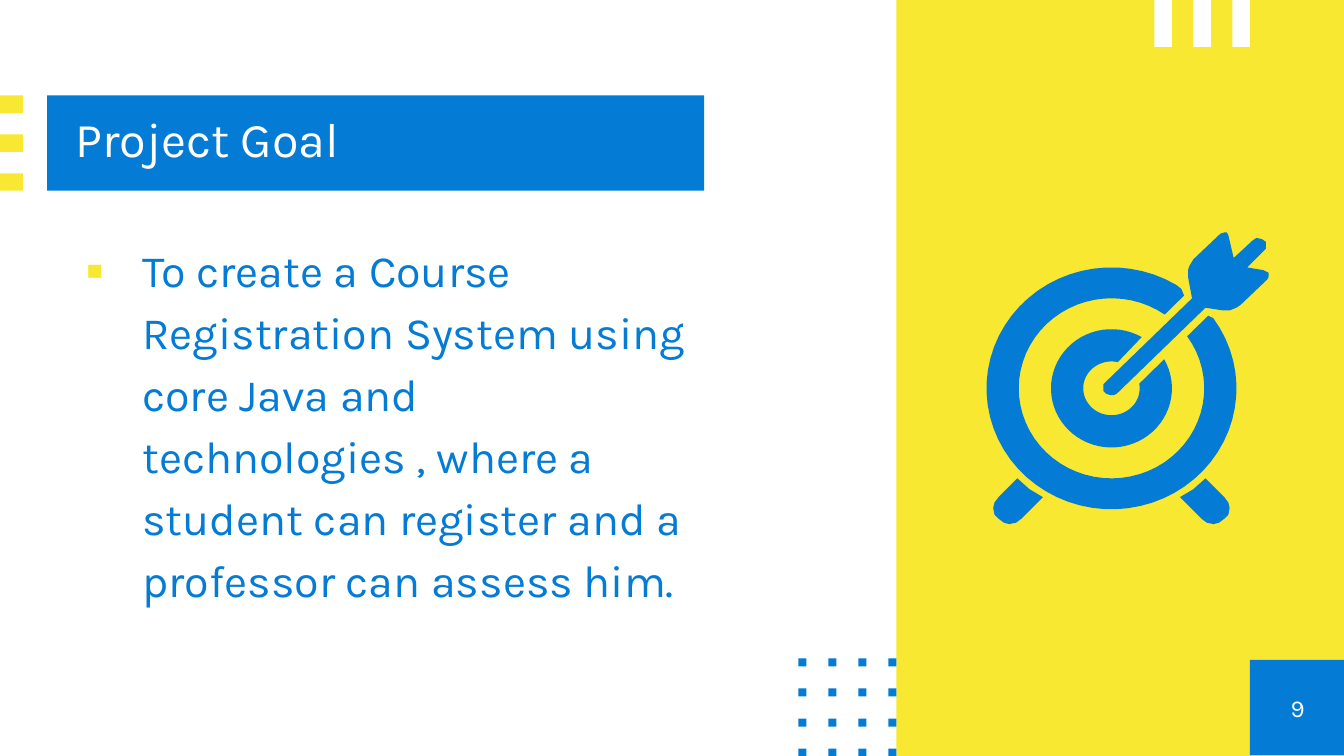
from math import cos, radians, sin

from lxml.etree import SubElement
from pptx import Presentation
from pptx.dml.color import RGBColor
from pptx.enum.shapes import MSO_SHAPE
from pptx.enum.text import MSO_ANCHOR, MSO_AUTO_SIZE, PP_ALIGN
from pptx.oxml.ns import qn
from pptx.util import Inches, Pt

BLUE = RGBColor(0x04, 0x7B, 0xD5)
YELLOW = RGBColor(0xF8, 0xE8, 0x31)
WHITE = RGBColor(0xFF, 0xFF, 0xFF)
FONT = "Karla"

TITLE = "Project Goal"
GOAL = ("To create a Course Registration System using core Java and "
        "technologies , where a student can register and a professor can assess him.")
PAGE_NUMBER = "9"

SIDE_PANEL = (6.67, 0, 3.34, 5.63)
TITLE_BAR = (0.35, 0.71, 4.89, 0.71)
TITLE_BOX = (0.56, 0.71, 4.69, 0.71)
GOAL_BOX = (0.56, 1.75, 4.69, 3.16)
PAGE_BOX = (9.3, 4.91, 0.71, 0.71)

# Target icon, in inches
CENTER = (8.27, 2.89)
# Each arc: (x radius, y radius, start angle, end angle); each cut: points beside the arrow
RINGS = [
    {"outer": (0.93, 0.9, -35.5, 301), "outer_cut": [(8.79, 2.15), (8.81, 2.2)],
     "inner": (0.69, 0.67, 305, -35.3), "inner_cut": [(8.99, 2.35)]},
    {"outer": (0.45, 0.44, -29.4, 300), "outer_cut": [],
     "inner": (0.21, 0.2, 283, -10), "inner_cut": []},
]
LEFT_FOOT = [
    (7.57, 3.56), (7.43, 3.7), (7.4, 3.74), (7.39, 3.78), (7.4, 3.83), (7.43, 3.86),
    (7.47, 3.89), (7.51, 3.9), (7.56, 3.89), (7.6, 3.86), (7.76, 3.7), (7.66, 3.64),
]
ARROW = [
    (9.11, 1.73), (9.08, 1.74), (8.88, 1.93), (8.85, 1.98), (8.84, 2.01), (8.84, 2.06),
    (8.87, 2.22), (8.23, 2.84), (8.21, 2.86), (8.21, 2.91), (8.23, 2.93), (8.26, 2.94),
    (8.29, 2.94), (8.31, 2.93), (8.97, 2.29), (9.1, 2.31), (9.15, 2.31), (9.2, 2.29),
    (9.23, 2.27), (9.43, 2.08), (9.44, 2.06), (9.44, 2.03), (9.4, 2.01), (9.28, 1.99),
    (9.4, 1.87), (9.42, 1.85), (9.42, 1.8), (9.39, 1.78), (9.35, 1.77), (9.32, 1.79),
    (9.18, 1.92), (9.14, 1.75), (9.13, 1.73),
]

prs = Presentation()
prs.slide_width, prs.slide_height = Inches(10), Inches(10) * 9 // 16
slide = prs.slides.add_slide(prs.slide_layouts[5])
shapes = slide.shapes


def paint(shape, color):
    shape.shadow.inherit = False
    shape.fill.solid()
    shape.fill.fore_color.rgb = color
    shape.line.fill.background()


def add_block(box, color):
    paint(shapes.add_shape(MSO_SHAPE.RECTANGLE, *map(Inches, box)), color)


def add_outline(points):
    start, *rest = [(Inches(x), Inches(y)) for x, y in points]
    builder = shapes.build_freeform(*start)
    builder.add_line_segments(rest, close=True)
    paint(builder.convert_to_shape(), BLUE)


def arc_points(x_radius, y_radius, start, end, steps=60):
    angles = [radians(start + (end - start) * i / steps) for i in range(steps + 1)]
    return [(CENTER[0] + x_radius * cos(a), CENTER[1] + y_radius * sin(a)) for a in angles]


def write(shape, text, size, color, anchor):
    frame = shape.text_frame
    frame.text = text
    frame.word_wrap = True
    frame.auto_size = MSO_AUTO_SIZE.NONE
    frame.vertical_anchor = anchor
    frame.margin_left = frame.margin_right = frame.margin_top = frame.margin_bottom = 0
    paragraph = frame.paragraphs[0]
    paragraph.font.name = FONT
    paragraph.font.size = Pt(size)
    paragraph.font.color.rgb = color
    return paragraph


def add_bullet(paragraph, mark, color):
    props = paragraph._p.get_or_add_pPr()
    props.set("marL", str(Inches(0.5)))
    props.set("indent", str(Inches(-0.42)))
    bullet_color = SubElement(props, qn("a:buClr"))
    SubElement(bullet_color, qn("a:srgbClr")).set("val", str(color))
    SubElement(props, qn("a:buFont")).set("typeface", FONT)
    SubElement(props, qn("a:buChar")).set("char", mark)
    # Text defaults must come after the bullet
    props.append(props.find(qn("a:defRPr")))


# Panels and decorations
add_block(SIDE_PANEL, YELLOW)
add_block(PAGE_BOX, BLUE)
add_block(TITLE_BAR, BLUE)
for i in range(3):
    add_block((0, 0.71 + 0.29 * i, 0.17, 0.13), YELLOW)
    add_block((8.59 + 0.29 * i, 0, 0.13, 0.35), WHITE)
for row in range(4):
    for column in range(4):
        add_block((5.94 + 0.67 * column / 3, 4.9 + 0.67 * row / 3, 0.06, 0.06), BLUE)

# Text
title = shapes.title
title.left, title.top, title.width, title.height = map(Inches, TITLE_BOX)
heading = write(title, TITLE, 26, WHITE, MSO_ANCHOR.MIDDLE)
heading.alignment = PP_ALIGN.LEFT
heading.line_spacing = 0.8
title.element.getparent().append(title.element)  # in front of the title bar

goal = write(shapes.add_textbox(*map(Inches, GOAL_BOX)), GOAL, 24, BLUE, MSO_ANCHOR.TOP)
goal.line_spacing = 1.15
goal.space_before = Pt(6)
add_bullet(goal, "▪", YELLOW)

page = write(shapes.add_textbox(*map(Inches, PAGE_BOX)), PAGE_NUMBER, 13, WHITE,
             MSO_ANCHOR.MIDDLE)
page.alignment = PP_ALIGN.CENTER

# Target icon
for ring in RINGS:
    add_outline(arc_points(*ring["outer"]) + ring["outer_cut"]
                + arc_points(*ring["inner"]) + ring["inner_cut"])
add_outline(LEFT_FOOT)
add_outline([(2 * CENTER[0] - x, y) for x, y in LEFT_FOOT])
add_outline(ARROW)

prs.save("out.pptx")
